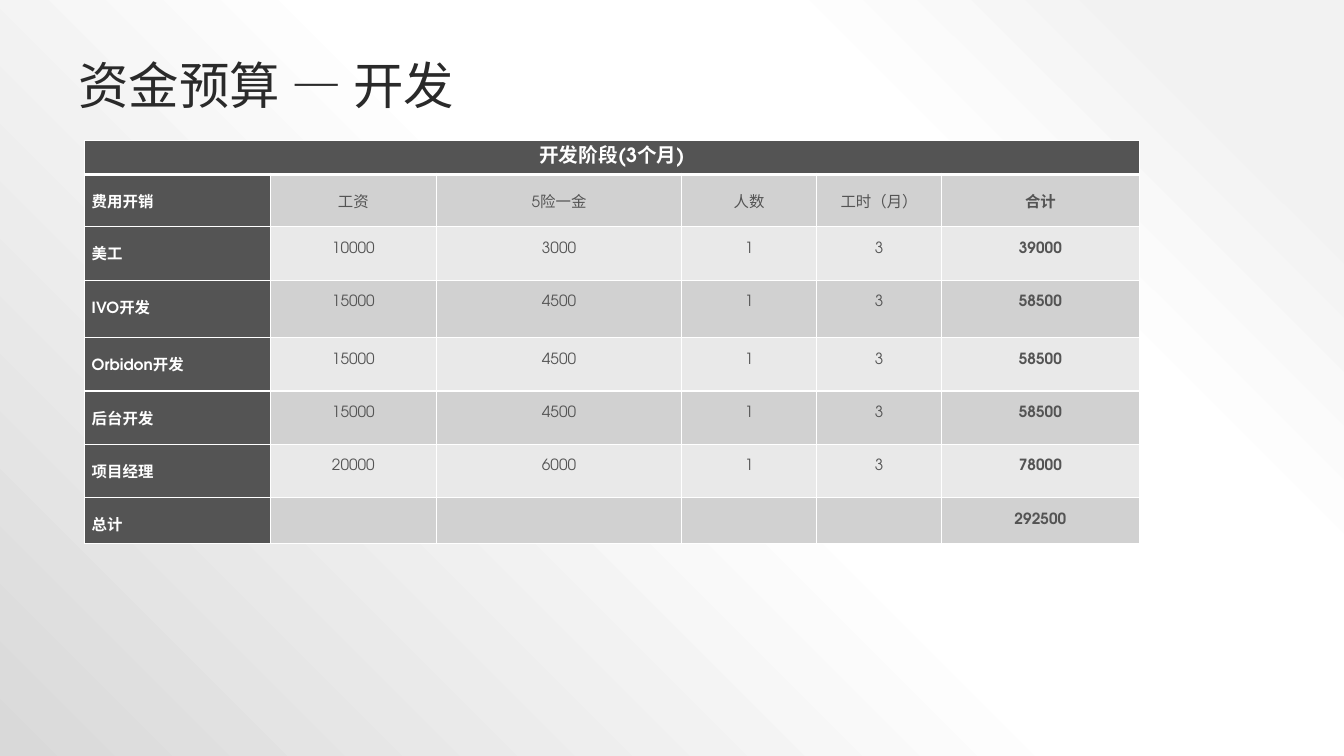
from dataclasses import dataclass

from lxml import etree
from pptx import Presentation, util as u
from pptx.dml.color import RGBColor
from pptx.enum import text
from pptx.oxml import ns

LATIN, CJK = "TeX Gyre Adventor", "Noto Sans CJK SC"
DARK, WHITE, BANDS = "545454", "FFFFFF", ("E9E9E9", "D1D1D1")
LEFT, CENTER = text.PP_ALIGN.LEFT, text.PP_ALIGN.CENTER

COLUMN_WIDTHS = (1.84, 1.65, 2.43, 1.34, 1.24, 1.96)
ROW_HEIGHTS = (0.34, 0.52, 0.53, 0.57, 0.53, 0.53, 0.53, 0.45)
BUDGET = (
    ("费用开销", "工资", "5险一金", "人数", "工时（月）", "合计"),
    ("美工", "10000", "3000", "1", "3", "39000"),
    ("IVO开发", "15000", "4500", "1", "3", "58500"),
    ("Orbidon开发", "15000", "4500", "1", "3", "58500"),
    ("后台开发", "15000", "4500", "1", "3", "58500"),
    ("项目经理", "20000", "6000", "1", "3", "78000"),
    ("总计", "", "", "", "", "292500"),
)
BACKGROUND_STOPS = ((10, "F2F2F2"), (28, WHITE), (48, WHITE), (100, "D9D9D9"))


@dataclass
class CellStyle:
    fill: str
    color: str
    size: int = 11
    bold: bool = False
    align: int = CENTER
    top: float = 0
    border_top: int = 1
    border_bottom: int = 1


def rgb(value: str) -> RGBColor:
    return RGBColor.from_string(value)


def add_element(parent, tag: str, **attributes):
    return etree.SubElement(parent, ns.qn(tag), attributes)


def write(para, words: str, color: str, latin: str = LATIN, **formats) -> None:
    span = para.add_run()
    span.text = words
    for name, value in {"name": latin, **formats}.items():
        setattr(span.font, name, value)
    span.font.color.rgb = rgb(color)
    add_element(span._r.get_or_add_rPr(), "a:ea", typeface=CJK)


def paint_background(page) -> None:
    page.background.fill.solid()
    solid = page.element.xpath(".//p:bgPr/a:solidFill")[0]
    gradient = etree.Element(ns.qn("a:gradFill"), rotWithShape="1")
    stops = add_element(gradient, "a:gsLst")
    for position, color in BACKGROUND_STOPS:
        stop = add_element(stops, "a:gs", pos=str(position * 1000))
        add_element(stop, "a:srgbClr", val=color)
    circle = add_element(gradient, "a:path", path="circle")
    add_element(circle, "a:fillToRect", l="100000", b="100000")
    solid.getparent().replace(solid, gradient)


def add_borders(cell, style: CellStyle) -> None:
    properties = cell._tc.get_or_add_tcPr()
    widths = {"a:lnL": 1, "a:lnR": 1, "a:lnT": style.border_top, "a:lnB": style.border_bottom}
    for index, (tag, width) in enumerate(widths.items()):
        line = etree.Element(ns.qn(tag), w=str(u.Pt(width)))
        add_element(add_element(line, "a:solidFill"), "a:srgbClr", val=WHITE)
        properties.insert(index, line)


def fill_cell(cell, words: str, style: CellStyle) -> None:
    margins = {"margin_left": 0.07, "margin_right": 0.07, "margin_top": style.top, "margin_bottom": 0}
    for name, value in margins.items():
        setattr(cell, name, u.Inches(value))
    cell.fill.solid()
    cell.fill.fore_color.rgb = rgb(style.fill)
    add_borders(cell, style)
    if words:
        para = cell.text_frame.paragraphs[0]
        para.alignment = style.align
        write(para, words, style.color, size=u.Pt(style.size), bold=style.bold)


def body_style(row: int, column: int, words: str) -> CellStyle:
    label = column == 0
    return CellStyle(
        fill=DARK if label else BANDS[row % 2],
        color=WHITE if label else DARK,
        bold=column in (0, len(COLUMN_WIDTHS) - 1),
        align=LEFT if label else CENTER,
        top=0.15,
        border_top=3 if row == 1 else 1,
    )


def add_title(page) -> None:
    box = page.shapes.add_textbox(*map(u.Inches, (0.68, 0.51, 11.02, 0.68)))
    frame = box.text_frame
    frame.word_wrap = True
    frame.vertical_anchor = text.MSO_ANCHOR.BOTTOM
    para = frame.paragraphs[0]
    para.line_spacing = 0.9
    write(para, "资金预算 — 开发", "2A2A2A", latin=CJK, size=u.Pt(36))


def add_budget(page) -> None:
    place = map(u.Inches, (0.84, 1.39, sum(COLUMN_WIDTHS), sum(ROW_HEIGHTS)))
    table = page.shapes.add_table(len(ROW_HEIGHTS), len(COLUMN_WIDTHS), *place).table
    table.first_row = table.horz_banding = False
    for column, width in zip(table.columns, COLUMN_WIDTHS):
        column.width = u.Inches(width)
    for row, height in zip(table.rows, ROW_HEIGHTS):
        row.height = u.Inches(height)

    # Heading across all columns
    heading = CellStyle(DARK, WHITE, size=14, bold=True, border_bottom=3)
    for column in range(len(COLUMN_WIDTHS)):
        fill_cell(table.cell(0, column), "" if column else "开发阶段(3个月)", heading)
    table.cell(0, 0).merge(table.cell(0, len(COLUMN_WIDTHS) - 1))

    # Costs
    for row, entries in enumerate(BUDGET, start=1):
        for column, words in enumerate(entries):
            fill_cell(table.cell(row, column), words, body_style(row, column, words))


def main() -> None:
    deck = Presentation()
    deck.slide_width, deck.slide_height = u.Inches(13.33), u.Inches(7.5)
    page = deck.slides.add_slide(deck.slide_layouts[6])
    paint_background(page)
    add_title(page)
    add_budget(page)
    deck.save("out.pptx")


if __name__ == "__main__":
    main()
